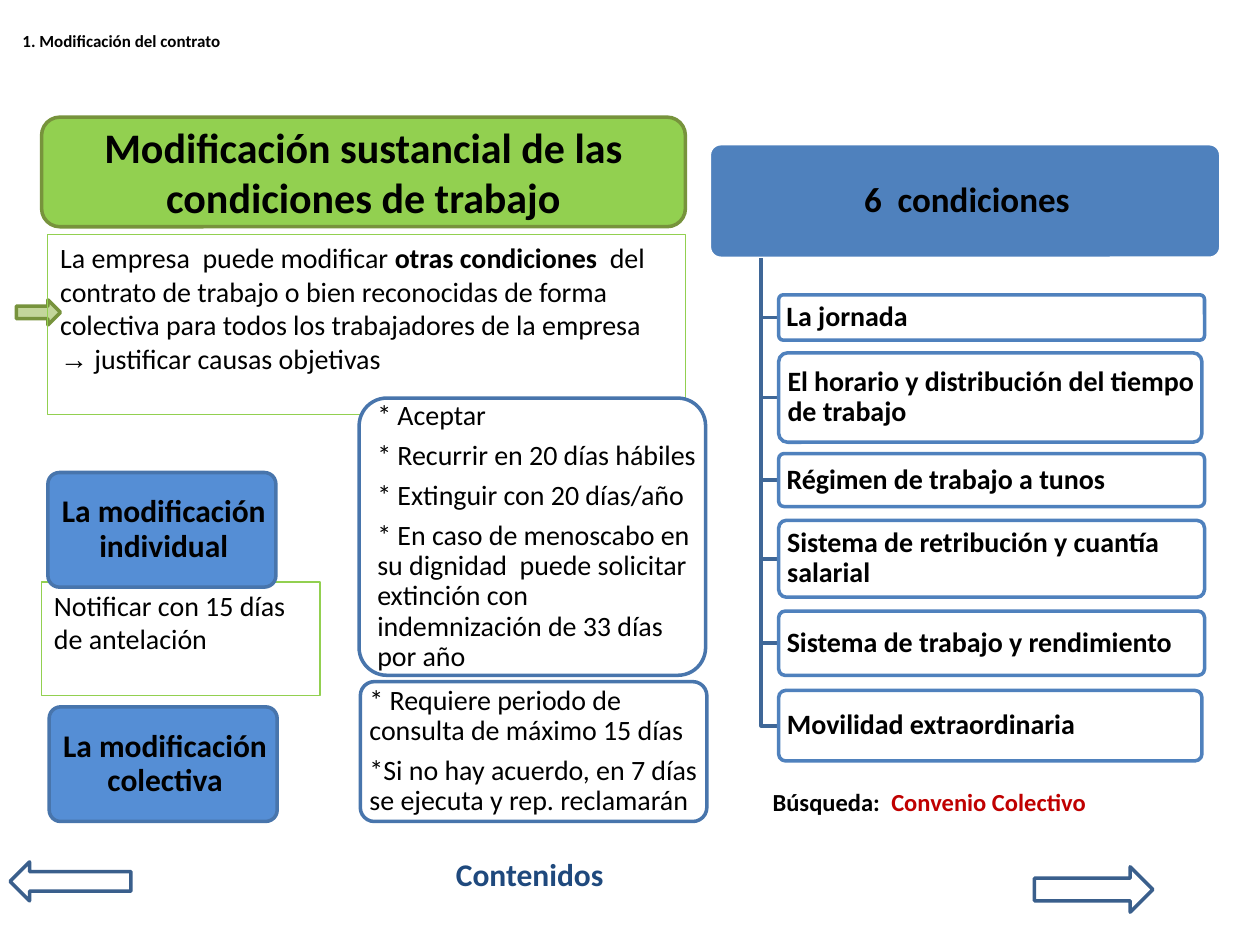
from pptx import Presentation
from pptx.dml.color import RGBColor
from pptx.enum.shapes import MSO_SHAPE as Kind
from pptx.enum.text import MSO_ANCHOR as Anchor, PP_ALIGN as Align
from pptx.util import Inches, Pt

COLS, ROWS = 100, 75
WIDE, HIGH = Inches(10), Inches(7.5)


def color(code):
    return RGBColor.from_string(code)


def write(frame, text, size=16, bold=False, ink="000000", align=Align.LEFT,
          lead=None, after=0):
    """Fill a frame; text is a string, or a list of paragraphs.

    A paragraph is a string, or a list of (string, changed format) runs.
    """
    paras = [text] if isinstance(text, str) else text
    for i, para in enumerate(paras):
        p = frame.add_paragraph() if i else frame.paragraphs[0]
        p.alignment, p.space_after = align, Pt(after)
        if lead:
            p.line_spacing = lead
        for words, change in [(para, {})] if isinstance(para, str) else para:
            run = p.add_run()
            run.text = words
            font = run.font
            font.name = change.get("face", "Calibri")
            font.size = Pt(size)
            font.bold = change.get("bold", bold)
            font.color.rgb = color(change.get("ink", ink))


class Deck:
    """Style and current slide; lengths are in columns and rows."""
    edge = "4875AC"
    tree = "3F6797"
    line = 2

    def __init__(self):
        self.show = Presentation()
        self.show.slide_width, self.show.slide_height = WIDE, HIGH
        self.slide = self.show.slides.add_slide(self.show.slide_layouts[6])

    def place(self, x, y):
        return round(x * WIDE / COLS), round(y * HIGH / ROWS)

    def frame(self, item, text, pad=(1, .5, 1, .5), anchor=Anchor.TOP, **form):
        frame = item.text_frame
        frame.word_wrap = True
        frame.vertical_anchor = anchor
        left, top = self.place(*pad[:2])
        right, base = self.place(*pad[2:])
        frame.margin_left, frame.margin_top = left, top
        frame.margin_right, frame.margin_bottom = right, base
        write(frame, text, **form)

    def label(self, x, y, w, h, text, **form):
        box = self.slide.shapes.add_textbox(*self.place(x, y), *self.place(w, h))
        self.frame(box, text, **form)

    def shape(self, kind, x, y, w, h, text="", fill=None, edge=edge, line=line,
              round_by=None, **form):
        item = self.slide.shapes.add_shape(
            kind, *self.place(x, y), *self.place(w, h))
        item.shadow.inherit = False
        if round_by is not None:
            item.adjustments[0] = round_by
        if fill:
            item.fill.solid()
            item.fill.fore_color.rgb = color(fill)
        else:
            item.fill.background()
        item.line.color.rgb = color(edge)
        item.line.width = Pt(line)
        if text:
            self.frame(item, text, **form)

    def card(self, x, y, w, h, text, **form):
        form = {"fill": "FFFFFF", "lead": .9, "after": 5.6,
                "anchor": Anchor.MIDDLE, "pad": (.4, .4, .1, .4)} | form
        self.shape(Kind.ROUNDED_RECTANGLE, x, y, w, h, text, round_by=.1, **form)

    def elbow(self, x, y, right, base):
        """Draw a line down from x, y and then across to right, base."""
        pen = self.slide.shapes.build_freeform(*self.place(x, y))
        pen.add_line_segments(
            [self.place(x, base), self.place(right, base)], close=False)
        item = pen.convert_to_shape()
        item.shadow.inherit = False
        item.fill.background()
        item.line.color.rgb = color(self.tree)
        item.line.width = Pt(self.line)


def main():
    deck = Deck()
    mid = {"anchor": Anchor.MIDDLE, "align": Align.CENTER, "bold": True}

    deck.label(35.2, 67.4, 14.4, 7, "Contenidos", size=18, bold=True, ink="1F497D")
    deck.label(.8, .1, 90, 6.3, "1. Modificación del contrato", size=9.7,
               bold=True, anchor=Anchor.MIDDLE)
    deck.shape(Kind.LEFT_ARROW, .8, 68.4, 9.6, 3.1, edge="3A5F8C")
    deck.shape(Kind.RIGHT_ARROW, 82.1, 68.8, 9.4, 3.6, edge="3A5F8C")

    deck.shape(Kind.FLOWCHART_ALTERNATE_PROCESS, 3.3, 9.3, 51.1, 8.7,
               "Modificación sustancial de las condiciones de trabajo",
               fill="92D050", edge="77933C", size=24, **mid)
    deck.shape(Kind.RIGHT_ARROW, 1.3, 23.8, 3.5, 2, fill="C3D69B", edge="77933C")
    rule = [[
        ("La empresa  puede modificar ", {}),
        ("otras condiciones  ", {"bold": True}),
        ("del contrato de trabajo o bien reconocidas de forma colectiva "
         "para todos los trabajadores de la empresa ", {}),
        ("→", {"face": "Arial"}),
        (" justificar causas objetivas", {})]]
    for x, y, w, h, text in (
            (3.8, 18.6, 50.6, 14.3, rule),
            (3.3, 46.2, 22.1, 9, "Notificar con 15 días de antelación")):
        deck.shape(Kind.RECTANGLE, x, y, w, h, text, edge="92D050", line=.75)

    deck.card(56.3, 11.4, 40.6, 9.1, "6  condiciones", fill="4F81BD",
              edge="FFFFFF", size=20, after=7, pad=(.7, .5, .4, .5), **mid)
    left = 61.8
    for y, w, h, text in (
            (23.4, 33.8, 3.6, "La jornada"),
            (28, 33.6, 7.1, "El horario y distribución del tiempo de trabajo"),
            (36, 33.8, 4.2, "Régimen de trabajo a tunos"),
            (41.3, 33.8, 6.1, "Sistema de retribución y cuantía salarial"),
            (48.5, 33.8, 5.1, "Sistema de trabajo y rendimiento"),
            (54.8, 33.6, 5.6, "Movilidad extraordinaria")):
        deck.elbow(60.4, 20.5, left, y + h / 2)
        deck.card(left, y, w, h, text, edge="4F81BD", bold=True,
                  pad=(.5, .4, .3, .4))

    for x, y, text in ((3.8, 37.5, "La modificación individual"),
                       (3.9, 56.1, "La modificación colectiva")):
        deck.card(x, y, 18.1, 9.1, text, fill="558ED5", size=18, after=6.3, **mid)
    deck.card(28.5, 31.6, 27.5, 22, [
        "* Aceptar",
        "* Recurrir en 20 días hábiles",
        "* Extinguir con 20 días/año",
        "* En caso de menoscabo en su dignidad  puede solicitar extinción "
        "con indemnización de 33 días por año"], pad=(.8, .8, .1, .8))
    deck.card(28.6, 54.1, 27.5, 11.1, [
        "* Requiere periodo de consulta de máximo 15 días",
        "*Si no hay acuerdo, en 7 días se ejecuta y rep. reclamarán"])
    deck.label(55.8, 62, 35.9, 3.3, [[
        ("Búsqueda:  ", {}), ("Convenio Colectivo", {"ink": "C00000"})]],
        size=14, bold=True, align=Align.CENTER)

    deck.show.save("out.pptx")


if __name__ == "__main__":
    main()
